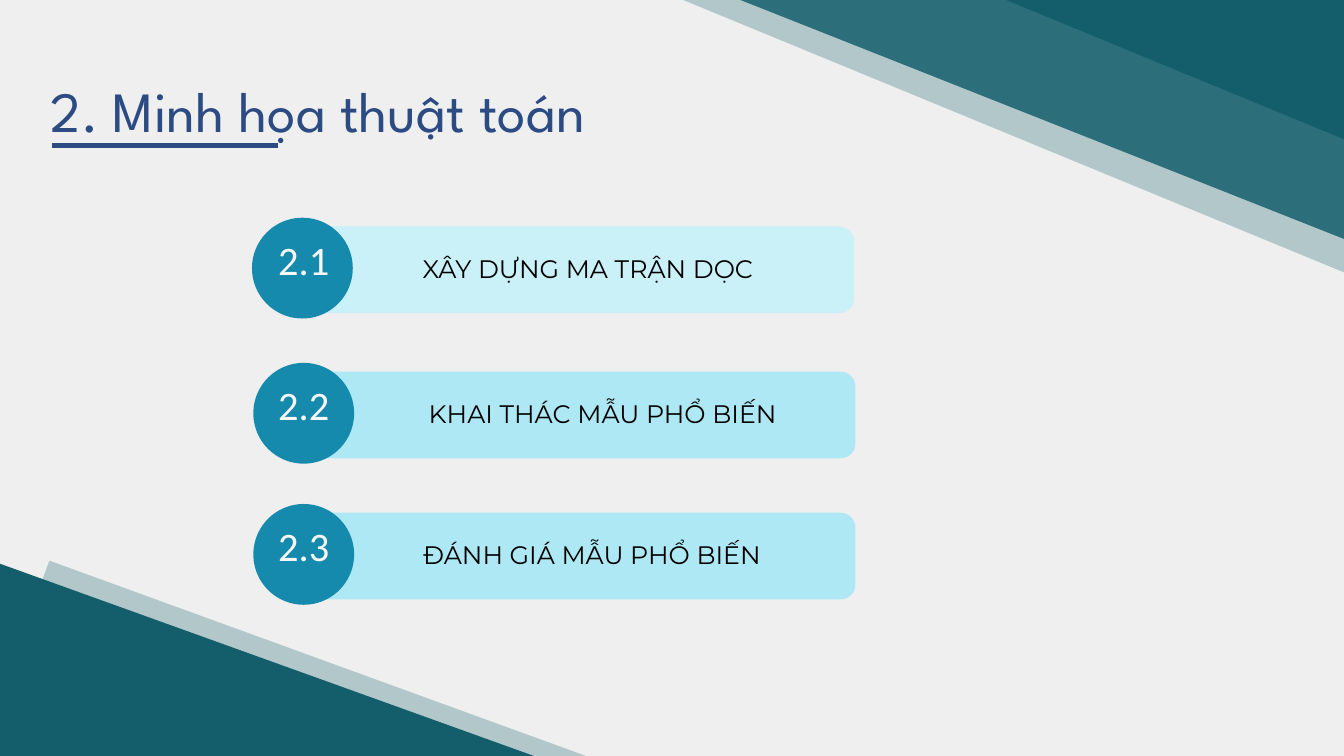
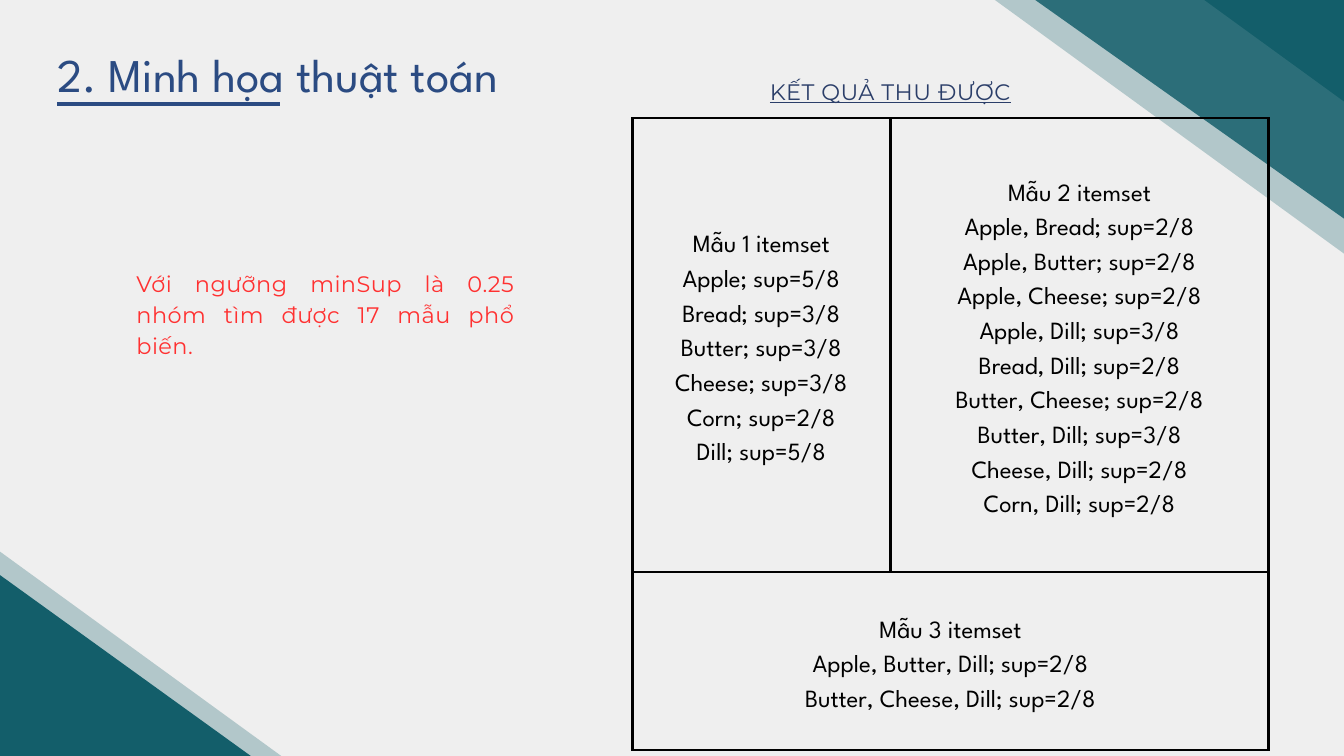
"""Build two slides on mining frequent itemsets."""
from lxml import etree
from pptx import Presentation
from pptx import util as u
from pptx.dml.color import RGBColor
from pptx.enum import shapes, text
from pptx.oxml import ns

COLS, ROWS = 20, 11.25
PAPER = RGBColor(0xEF, 0xEF, 0xEF)
TEAL = RGBColor(0x13, 0x5E, 0x6A)
MIST = RGBColor(0x54, 0x89, 0x91)
NAVY = RGBColor(0x2B, 0x4B, 0x82)
INDIGO = RGBColor(0x2B, 0x3E, 0x69)
BLUE = RGBColor(0x16, 0x8A, 0xAD)
PALE = RGBColor(0xCA, 0xF0, 0xF8)
SKY = RGBColor(0xAD, 0xE8, 0xF4)
WHITE = RGBColor(0xF7, 0xF7, 0xF7)
BLACK = RGBColor(0, 0, 0)
RED = RGBColor(0xFF, 0x31, 0x31)
SPARTAN, MONTSERRAT, CALIBRI = "League Spartan", "Montserrat", "Calibri"
LEFT, CENTER, JUSTIFY = (text.PP_ALIGN.LEFT, text.PP_ALIGN.CENTER,
                         text.PP_ALIGN.JUSTIFY)
RECT = shapes.MSO_SHAPE.RECTANGLE
ROUND = shapes.MSO_SHAPE.ROUNDED_RECTANGLE
OVAL = shapes.MSO_SHAPE.OVAL

STEPS = [("2.1", "XÂY DỰNG MA TRẬN DỌC", PALE, 4.28, 3.37, 8.75),
         ("2.2", "KHAI THÁC MẪU PHỔ BIẾN", SKY, 4.3, 5.53, 8.97),
         ("2.3", "ĐÁNH GIÁ MẪU PHỔ BIẾN", SKY, 4.3, 7.63, 8.81)]

ITEMSETS = {
    (0, 0): ["Mẫu 1 itemset", "Apple; sup=5/8", "Bread; sup=3/8",
             "Butter; sup=3/8", "Cheese; sup=3/8", "Corn; sup=2/8",
             "Dill; sup=5/8"],
    (0, 1): ["Mẫu 2 itemset", "Apple, Bread; sup=2/8",
             "Apple, Butter; sup=2/8", "Apple, Cheese; sup=2/8",
             "Apple, Dill; sup=3/8", "Bread, Dill; sup=2/8",
             "Butter, Cheese; sup=2/8", "Butter, Dill; sup=3/8",
             "Cheese, Dill; sup=2/8", "Corn, Dill; sup=2/8"],
    (1, 0): ["Mẫu 3 itemset", "Apple, Butter, Dill; sup=2/8",
             "Butter, Cheese, Dill; sup=2/8"],
}


class Deck:
    def __init__(self):
        self.prs = Presentation()
        self.prs.slide_width = u.Inches(20)
        self.prs.slide_height = u.Inches(11.25)
        self.s = None

    def col(self, n):
        return u.Emu(round(self.prs.slide_width * n / COLS))

    def row(self, n):
        return u.Emu(round(self.prs.slide_height * n / ROWS))

    def box(self, x, y, w, h):
        return self.col(x), self.row(y), self.col(w), self.row(h)

    def slide(self):
        self.s = self.prs.slides.add_slide(self.prs.slide_layouts[6])
        fill = self.s.background.fill
        fill.solid()
        fill.fore_color.rgb = PAPER

    def shape(self, kind, at, color, angle=0, alpha=None):
        sp = self.s.shapes.add_shape(kind, *self.box(*at))
        sp.shadow.inherit = False
        sp.rotation = angle
        sp.line.fill.background()
        sp.fill.solid()
        sp.fill.fore_color.rgb = color
        if alpha:
            clr = sp._element.spPr.find(ns.qn("a:solidFill"))[0]
            etree.SubElement(clr, ns.qn("a:alpha"), val=str(alpha * 1000))
        return sp

    def band(self, x, y, w, angle):
        self.shape(RECT, (x, y, w, 1.83), MIST, angle, 39)

    def top_corner(self, block, block_angle, band, band_angle):
        self.shape(RECT, (*block, 5.49, 11.19), TEAL, block_angle)
        self.band(*band, 14.13, band_angle)

    def bottom_corner(self, block, block_angle, band, band_angle):
        self.band(*band, 11.65, band_angle)
        self.shape(RECT, (*block, 4.81, 11.78), TEAL, block_angle)

    def add_lines(self, tf, lines, font, size, color, spacing, align=LEFT,
                  underline=None, tracking=None):
        for i, line in enumerate(lines):
            p = tf.add_paragraph() if i else tf.paragraphs[0]
            p.alignment = align
            p.line_spacing = u.Pt(spacing)
            r = p.add_run()
            r.text = line
            r.font.name, r.font.size = font, u.Pt(size)
            r.font.color.rgb = color
            r.font.underline = underline
            if tracking:
                r._r.get_or_add_rPr().set("spc", str(tracking))

    def text(self, at, line, *style, **extra):
        tf = self.s.shapes.add_textbox(*self.box(*at)).text_frame
        tf.word_wrap = True
        tf.auto_size = text.MSO_AUTO_SIZE.SHAPE_TO_FIT_TEXT
        tf.margin_left = tf.margin_right = 0
        tf.margin_top = tf.margin_bottom = 0
        self.add_lines(tf, [line], *style, **extra)

    def title(self, at, size, spacing, line_x, line_y, line_w):
        self.text(at, "2. Minh họa thuật toán", SPARTAN, size, NAVY, spacing)
        y = self.row(line_y)
        c = self.s.shapes.add_connector(
            shapes.MSO_CONNECTOR.STRAIGHT,
            self.col(line_x), y, self.col(line_x + line_w), y)
        c.line.color.rgb = NAVY
        c.line.width = u.Pt(5)
        etree.SubElement(c._element.spPr, ns.qn("a:effectLst"))

    def step(self, number, label, color, x, y, center):
        bar = self.shape(ROUND, (x, y, 8.43, 1.29), color)
        bar.adjustments[0] = 0.17
        self.shape(OVAL, (x - 0.53, y - 0.13, 1.5, 1.5), BLUE)
        self.text((3.63, y + 0.25, 1.78, 0.64), number,
                  CALIBRI, 43.3, WHITE, 43.3, CENTER)
        self.text((center - 3.23, y + 0.47, 6.46, 0.4), label,
                  MONTSERRAT, 27.1, BLACK, 27.1, CENTER)

    def border(self, cell):
        tcPr = cell._tc.get_or_add_tcPr()
        for side in "LRTB":
            ln = etree.SubElement(tcPr, ns.qn(f"a:ln{side}"),
                                  w=str(u.Pt(3)))
            fill = etree.SubElement(ln, ns.qn("a:solidFill"))
            etree.SubElement(fill, ns.qn("a:srgbClr"), val=str(BLACK))

    def table(self, x, y, widths, heights, content):
        at = self.box(x, y, sum(widths), sum(heights))
        tbl = self.s.shapes.add_table(len(heights), len(widths), *at).table
        tbl.first_row = tbl.horz_banding = False
        for column, w in zip(tbl.columns, widths):
            column.width = self.col(w)
        for line, h in zip(tbl.rows, heights):
            line.height = self.row(h)
        tbl.cell(1, 0).merge(tbl.cell(1, 1))
        for cell in tbl.iter_cells():
            self.border(cell)
            cell.fill.background()
            cell.vertical_anchor = text.MSO_ANCHOR.MIDDLE
            cell.margin_left = cell.margin_right = self.col(0.21)
            cell.margin_top = cell.margin_bottom = self.row(0.21)
        for place, lines in content.items():
            self.add_lines(tbl.cell(*place).text_frame, lines,
                           SPARTAN, 26.5, BLACK, 37.1, CENTER)


def outline(d):
    d.slide()
    d.top_corner((13.9, -6.32), 291.6, (8.57, 0.35), 22.4)
    d.bottom_corner((2.22, 6.72), 289.8, (0.07, 10.28), 20)
    d.title((0.75, 1.12, 9.63, 1.02), 60.9, 73, 0.78, 2.17, 3.35)
    for step in STEPS:
        d.step(*step)


def results(d):
    d.slide()
    d.bottom_corner((-2.27, 5.73), 305.8, (-4.07, 9.7), 36)
    d.top_corner((17.22, -5.73), 305.3, (11.45, 0.65), 36)
    d.title((0.85, 0.68, 9.52, 1.67), 50.2, 60.3, 0.85, 1.55, 3.32)
    d.table(9.41, 1.76, [3.84, 5.63], [6.75, 2.65], ITEMSETS)
    d.text((8.95, 1.09, 8.6, 0.43), "KẾT QUẢ THU ĐƯỢC", MONTSERRAT, 24,
           INDIGO, 33.6, CENTER, underline=True, tracking=50)
    d.text((2.03, 3.95, 5.63, 1.35),
           "Với ngưỡng minSup là 0.25 nhóm tìm được 17 mẫu phổ biến.",
           MONTSERRAT, 24, RED, 33.5, JUSTIFY, tracking=50)


def main():
    d = Deck()
    outline(d)
    results(d)
    d.prs.save("out.pptx")


if __name__ == "__main__":
    main()
